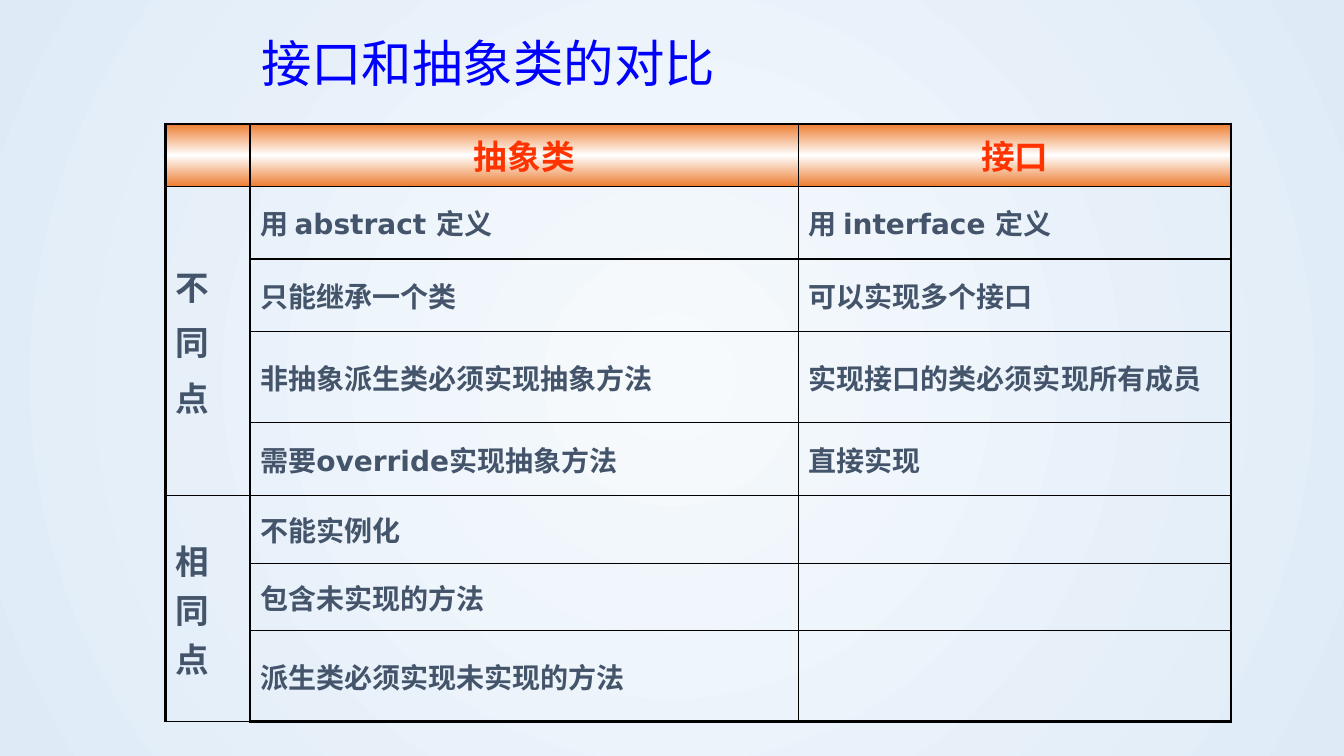
from lxml import etree
from pptx import Presentation
from pptx import util as u
from pptx.dml.color import RGBColor
from pptx.enum import text
from pptx.oxml import parse_xml
from pptx.oxml.ns import nsdecls, qn

BLUE, RED, SLATE = "0000FF", "FF3300", "44546A"
ORANGE, WHITE, BLACK = "ED7D31", "FFFFFF", "000000"

HEADS = ["", "抽象类", "接口"]
# Each group: label lines, then rows of (abstract class, interface, spaced)
GROUPS = [
    (["不", "同", "点"], [
        ("用 abstract 定义", "用 interface 定义", True),
        ("只能继承一个类", "可以实现多个接口", False),
        ("非抽象派生类必须实现抽象方法", "实现接口的类必须实现所有成员", False),
        ("需要override实现抽象方法", "直接实现", True),
    ]),
    (["相同点"], [
        ("不能实例化", "", False),
        ("包含未实现的方法", "", False),
        ("派生类必须实现未实现的方法", "", False),
    ]),
]
COLS = [0.84, 5.44, 4.29]
ROWS = [0.62, 0.72, 0.72, 0.9, 0.73, 0.67, 0.67, 0.9]


def color(code):
    return RGBColor.from_string(code)


def blend(fill, root, stops, shade):
    """Fill with a gradient of (percent, colour) stops."""
    fill.gradient()
    old = next(root.iter(qn("a:gradFill")))
    marks = "".join(
        f'<a:gs pos="{at * 1000}"><a:srgbClr val="{code}"/></a:gs>'
        for at, code in stops)
    new = parse_xml(f'<a:gradFill {nsdecls("a")} rotWithShape="1">'
                    f'<a:gsLst>{marks}</a:gsLst>{shade}</a:gradFill>')
    old.getparent().replace(old, new)


def backdrop(slide):
    shade = ('<a:path path="circle"><a:fillToRect l="50000" t="50000" '
             'r="50000" b="50000"/></a:path>')
    blend(slide.background.fill, slide.element,
          [(0, "F7FAFD"), (100, "DEEBF7")], shade)


def heading(slide, words, box):
    title = slide.shapes.title
    title.left, title.top, title.width, title.height = map(u.Inches, box)
    frame = title.text_frame
    frame.text = words
    frame.auto_size = text.MSO_AUTO_SIZE.NONE
    frame.vertical_anchor = text.MSO_ANCHOR.MIDDLE
    para = frame.paragraphs[0]
    para.alignment = text.PP_ALIGN.LEFT
    para.line_spacing = 0.9
    para.font.size = u.Pt(36)
    para.font.name = "Arial"
    para.font.color.rgb = color(BLUE)


def write(cell, lines, size, code, align=text.PP_ALIGN.LEFT, spaced=True):
    cell.vertical_anchor = text.MSO_ANCHOR.MIDDLE
    if not any(lines):
        return
    cell.text = "\n".join(lines)
    for para in cell.text_frame.paragraphs:
        para.alignment = align
        font = para.font
        font.size, font.bold, font.name = u.Pt(size), True, "DejaVu Sans"
        font.color.rgb = color(code)
        if spaced:
            gap = parse_xml(f'<a:spcBef {nsdecls("a")}>'
                            '<a:spcPct val="20000"/></a:spcBef>')
            para._p.get_or_add_pPr().insert(0, gap)


def border(cell, row, col):
    """Heavy lines on the table's outer edge, thin ones inside."""
    outer = [("L", col == 0), ("R", col == len(COLS) - 1),
             ("T", row == 0), ("B", row == len(ROWS) - 1)]
    props = cell._tc.get_or_add_tcPr()
    for spot, (side, heavy) in enumerate(outer):
        line = etree.Element(qn(f"a:ln{side}"),
                             w=str(u.Pt(2.25 if heavy else 1)))
        solid = etree.SubElement(line, qn("a:solidFill"))
        etree.SubElement(solid, qn("a:srgbClr"), val=BLACK)
        props.insert(spot, line)


def compare(slide, left, top):
    box = [u.Inches(n) for n in (left, top, sum(COLS), sum(ROWS))]
    table = slide.shapes.add_table(len(ROWS), len(COLS), *box).table
    table.first_row = table.horz_banding = False
    for part, width in zip(table.columns, COLS):
        part.width = u.Inches(width)
    for part, height in zip(table.rows, ROWS):
        part.height = u.Inches(height)

    # Fills and borders
    for row in range(len(ROWS)):
        for col in range(len(COLS)):
            cell = table.cell(row, col)
            if row == 0:
                blend(cell.fill, cell._tc,
                      [(0, ORANGE), (50, WHITE), (100, ORANGE)],
                      '<a:lin ang="5400000" scaled="1"/>')
            else:
                cell.fill.background()
            border(cell, row, col)

    # Header row
    for col, head in enumerate(HEADS):
        write(table.cell(0, col), [head], 24, RED, text.PP_ALIGN.CENTER)

    # Groups with a merged label
    row = 1
    for label, points in GROUPS:
        first = table.cell(row, 0)
        first.merge(table.cell(row + len(points) - 1, 0))
        write(first, label, 24, SLATE)
        for *pair, spaced in points:
            for col, words in enumerate(pair, 1):
                write(table.cell(row, col), [words], 20, SLATE, spaced=spaced)
            row += 1


def main():
    deck = Presentation()
    deck.slide_width, deck.slide_height = u.Inches(13.33), u.Inches(7.5)
    slide = deck.slides.add_slide(deck.slide_layouts[5])
    backdrop(slide)
    heading(slide, "接口和抽象类的对比", (2.49, 0.21, 8.8, 0.89))
    compare(slide, 1.64, 1.23)
    deck.save("out.pptx")


if __name__ == "__main__":
    main()
